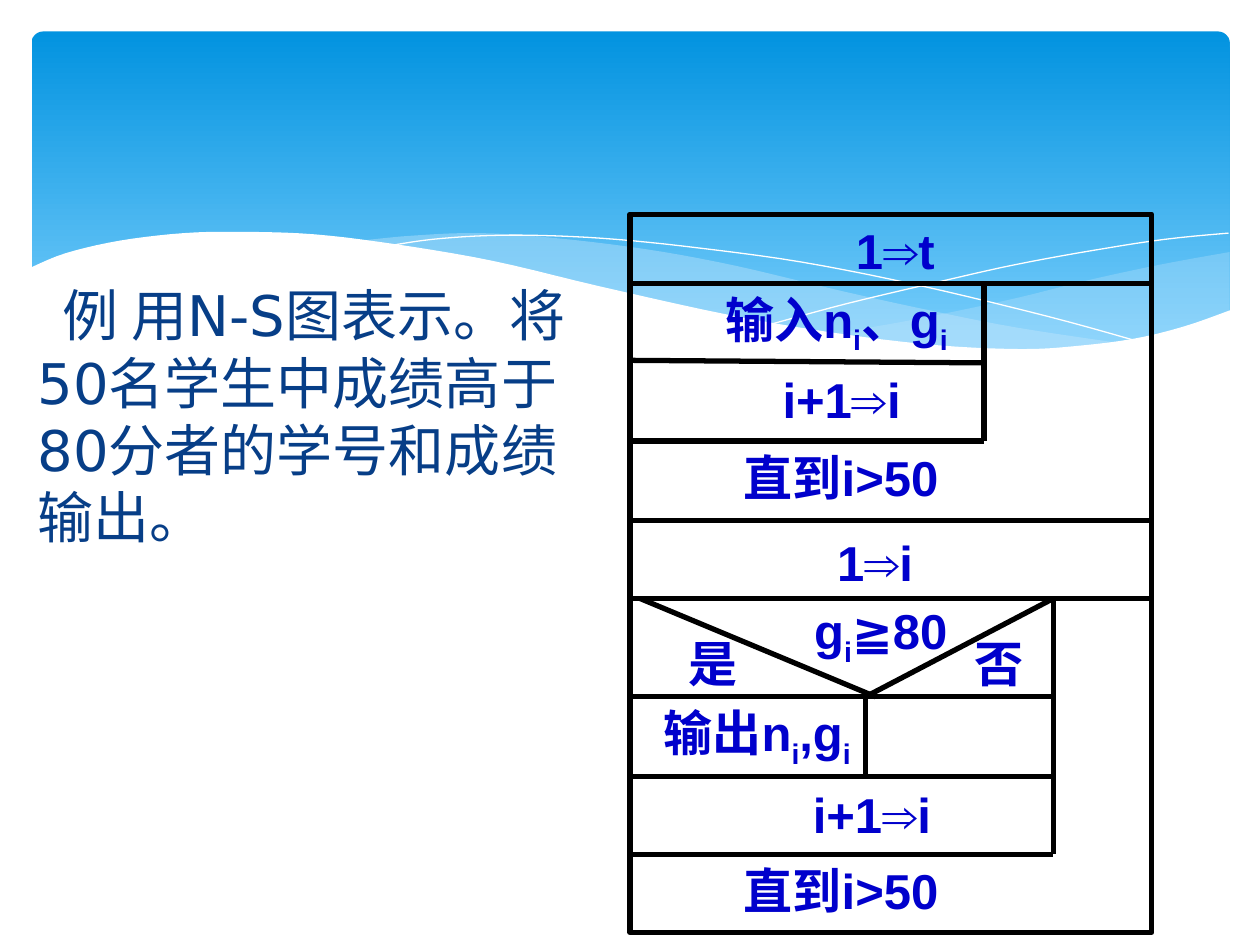
from dataclasses import dataclass

from lxml import etree
from pptx import Presentation
from pptx import util as u
from pptx.dml.color import RGBColor
from pptx.enum import shapes, text
from pptx.oxml import ns

BLACK = RGBColor(0, 0, 0)
WHITE = RGBColor(0xFF, 0xFF, 0xFF)
NAVY = RGBColor(0x07, 0x3E, 0x87)
BLUE = RGBColor(0, 0, 0xCC)
PALE = RGBColor(0xC6, 0xE7, 0xFC)
SKY = [RGBColor(0x02, 0x93, 0xE0), RGBColor(0x83, 0xD3, 0xFE)]

HEAD = dict(size=u.Pt(32), name="DejaVu Sans")
CELL = dict(size=u.Pt(28), name="Arial", bold=True)
SHAPE = shapes.MSO_SHAPE
Point = tuple[float, float]


@dataclass
class Label:
    """Cell text; an underscore lowers the letter after it."""
    words: str
    left: float
    top: float
    width: float
    height: float = 0.57
    slanted: bool = False


# Chart edges: outer box, loop ends and branch split
LEFT, TOP, RIGHT, BASE = 5, 1.7, 9.14, 7.4
LOOP, TEST, SPLIT = 7.81, 8.36, 6.87
ROWS = {2.25: RIGHT, 3.5: LOOP, 4.13: RIGHT, 4.75: RIGHT,
        5.53: TEST, 6.16: TEST, 6.78: TEST}
RULES = [((LEFT, y), (end, y)) for y, end in ROWS.items()] + [
    ((LEFT, 2.86), (LOOP, 2.88)),
    ((LOOP, 2.25), (LOOP, 3.5)),
    ((TEST, 4.75), (TEST, 6.78)),
    ((TEST, 4.75), (SPLIT, 5.53)),
    ((5.08, 4.75), (6.95, 5.53)),
    ((SPLIT, 5.53), (SPLIT, 6.16)),
]
LABELS = [
    Label("1⇒t", 6.56, 1.7, 1.09),
    Label("输入n_i、g_i", 5.39, 2.25, 2.5, 0.63, True),
    Label("i+1⇒i", 5.94, 2.88, 1.48),
    Label("直到i>50", 5.62, 3.5, 2.11),
    Label("1⇒i", 6.4, 4.18, 1.09),
    Label("g_i≧80", 6.25, 4.72, 1.48, 0.63),
    Label("是", 5.23, 4.98, 0.86),
    Label("否", 7.5, 4.98, 0.86),
    Label("输出n_i,g_i", 4.84, 5.53, 2.34, 0.63, True),
    Label("i+1⇒i", 6.18, 6.18, 1.48),
    Label("直到i>50", 5.62, 6.78, 2.11),
]

# Knots of the wave edges
FAR_TOP = [(6.61, 2.65), (7.29, 2.53), (8.05, 2.37), (8.61, 2.23),
           (9.21, 2.1), (9.76, 2)]
FAR_LOW = [(9.76, 2.47), (9.42, 2.59), (9.05, 2.69), (8.54, 2.76),
           (8.03, 2.78), (7.45, 2.75), (6.91, 2.69), (6.61, 2.65)]
MID_TOP = [(2.86, 1.91), (3.28, 1.87), (3.8, 1.85), (4.41, 1.89),
           (5.14, 1.98), (5.84, 2.11), (6.68, 2.31), (7.41, 2.47),
           (8.07, 2.6), (8.93, 2.73)]
MID_LOW = [(8.93, 2.73), (8.57, 2.77), (8.07, 2.79), (7.48, 2.76),
           (6.8, 2.68), (6.01, 2.55), (5.3, 2.4), (4.49, 2.22),
           (3.83, 2.07), (3.23, 1.96), (2.86, 1.91)]
FRONT = [(9.77, 2.46), (9.4, 2.59), (8.99, 2.69), (8.5, 2.75),
         (8.09, 2.77), (7.44, 2.74), (6.68, 2.65), (5.79, 2.5),
         (4.75, 2.27), (3.91, 2.07), (3.15, 1.94), (2.5, 1.86),
         (1.93, 1.84), (1.46, 1.85), (0.95, 1.91), (0.52, 2.01),
         (0.23, 2.13)]
THREADS = [
    [(3.09, 1.95), (3.43, 1.9), (3.87, 1.87), (4.33, 1.87), (4.89, 1.9),
     (5.56, 1.97), (6.36, 2.08), (7.27, 2.26), (8.31, 2.51), (9.07, 2.72)],
    [(6.13, 2.57), (6.72, 2.41), (7.48, 2.23), (8.06, 2.1), (8.66, 1.99),
     (9.24, 1.9), (9.75, 1.85)],
]


def smooth(knots: list[Point], steps: int = 5) -> list[Point]:
    """Catmull-Rom curve through the knots."""
    pad = [knots[0], *knots, knots[-1]]
    curve = [knots[0]]
    for a, b, c, d in zip(pad, pad[1:], pad[2:], pad[3:]):
        for n in range(1, steps + 1):
            t = n / steps
            curve.append(tuple(
                0.5 * (2 * q + (r - p) * t + (2 * p - 5 * q + 4 * r - s) * t**2
                       + (3 * q - p - 3 * r + s) * t**3)
                for p, q, r, s in zip(a, b, c, d)))
    return curve


def box(*sizes: float) -> list[u.Length]:
    return [u.Inches(size) for size in sizes]


def style(font, form: dict, color: RGBColor) -> None:
    for key, value in form.items():
        setattr(font, key, value)
    font.color.rgb = color


def draw_wave(slide, curve: list[Point], color: RGBColor,
              alpha: int = 100, closed: bool = True) -> None:
    first, *rest = [box(*point) for point in curve]
    maker = slide.shapes.build_freeform(*first)
    maker.add_line_segments(rest, close=closed)
    wave = maker.convert_to_shape()
    wave.shadow.inherit = False
    if not closed:
        wave.fill.background()
        wave.line.color.rgb = color
        wave.line.width = u.Pt(0)
        return
    wave.line.fill.background()
    wave.fill.solid()
    wave.fill.fore_color.rgb = color
    if alpha < 100:
        tone = wave._element.spPr.find(".//" + ns.qn("a:srgbClr"))
        etree.SubElement(tone, ns.qn("a:alpha"), val=str(alpha * 1000))


def draw_rule(slide, start: Point, end: Point) -> None:
    rule = slide.shapes.add_connector(
        shapes.MSO_CONNECTOR.STRAIGHT, *box(*start, *end))
    rule.line.color.rgb = BLACK
    rule.line.width = u.Pt(3)
    etree.SubElement(rule._element.spPr, ns.qn("a:effectLst"))


def draw_label(slide, label: Label) -> None:
    place = box(label.left, label.top, label.width, label.height)
    if label.slanted:
        shape = slide.shapes.add_shape(SHAPE.PARALLELOGRAM, *place)
        shape.shadow.inherit = False
        shape.fill.background()
        shape.line.fill.background()
        frame = shape.text_frame
        form = dict(margin_left=0, margin_right=0, margin_top=0,
                    margin_bottom=0, word_wrap=False,
                    vertical_anchor=text.MSO_ANCHOR.MIDDLE)
    else:
        frame = slide.shapes.add_textbox(*place).text_frame
        form = dict(word_wrap=True,
                    auto_size=text.MSO_AUTO_SIZE.SHAPE_TO_FIT_TEXT)
    for key, value in form.items():
        setattr(frame, key, value)
    para = frame.paragraphs[0]
    para.alignment = text.PP_ALIGN.CENTER
    first, *rest = label.words.split("_")
    parts = [(first, False)]
    for part in rest:
        parts += [(part[0], True), (part[1:], False)]
    for words, low in parts:
        if words:
            run = para.add_run()
            run.text = words
            style(run.font, CELL, BLUE)
            if low:
                run.font._element.set("baseline", "-25000")


def main() -> None:
    deck = Presentation()
    deck.slide_width, deck.slide_height = box(10, 7.5)
    slide = deck.slides.add_slide(deck.slide_layouts[6])

    # Sky banner and waves
    sky = slide.shapes.add_shape(
        SHAPE.ROUNDED_RECTANGLE, *box(0.25, 0.25, 9.51, 2.7))
    sky.adjustments[0] = 0.034
    sky.shadow.inherit = False
    sky.line.fill.background()
    sky.fill.gradient()
    sky.fill.gradient_angle = 270
    for stop, color in zip(sky.fill.gradient_stops, SKY):
        stop.color.rgb = color
    draw_wave(slide, smooth(FAR_TOP) + smooth(FAR_LOW), PALE, 29)
    draw_wave(slide, smooth(MID_TOP) + smooth(MID_LOW), PALE, 40)
    for thread in THREADS:
        draw_wave(slide, smooth(thread), WHITE, closed=False)
    draw_wave(slide, smooth(FRONT) + [(0.23, 3.29), (9.77, 3.29)], WHITE)

    # Task text
    task = slide.shapes.add_textbox(*box(0.2, 2.18, 4.57, 3.79)).text_frame
    task.word_wrap = True
    para = task.paragraphs[0]
    para.text = "例 用N-S图表示。将50名学生中成绩高于80分者的学号和成绩输出。"
    para._p.get_or_add_pPr().set("indent", str(u.Inches(0.2)))
    style(para.runs[0].font, HEAD, NAVY)

    # N-S chart
    frame = slide.shapes.add_shape(
        SHAPE.FLOWCHART_PROCESS, *box(LEFT, TOP, RIGHT - LEFT, BASE - TOP))
    frame.shadow.inherit = False
    frame.fill.background()
    frame.line.color.rgb = BLACK
    frame.line.width = u.Pt(3)
    for start, end in RULES:
        draw_rule(slide, start, end)
    for label in LABELS:
        draw_label(slide, label)

    deck.save("out.pptx")


if __name__ == "__main__":
    main()
